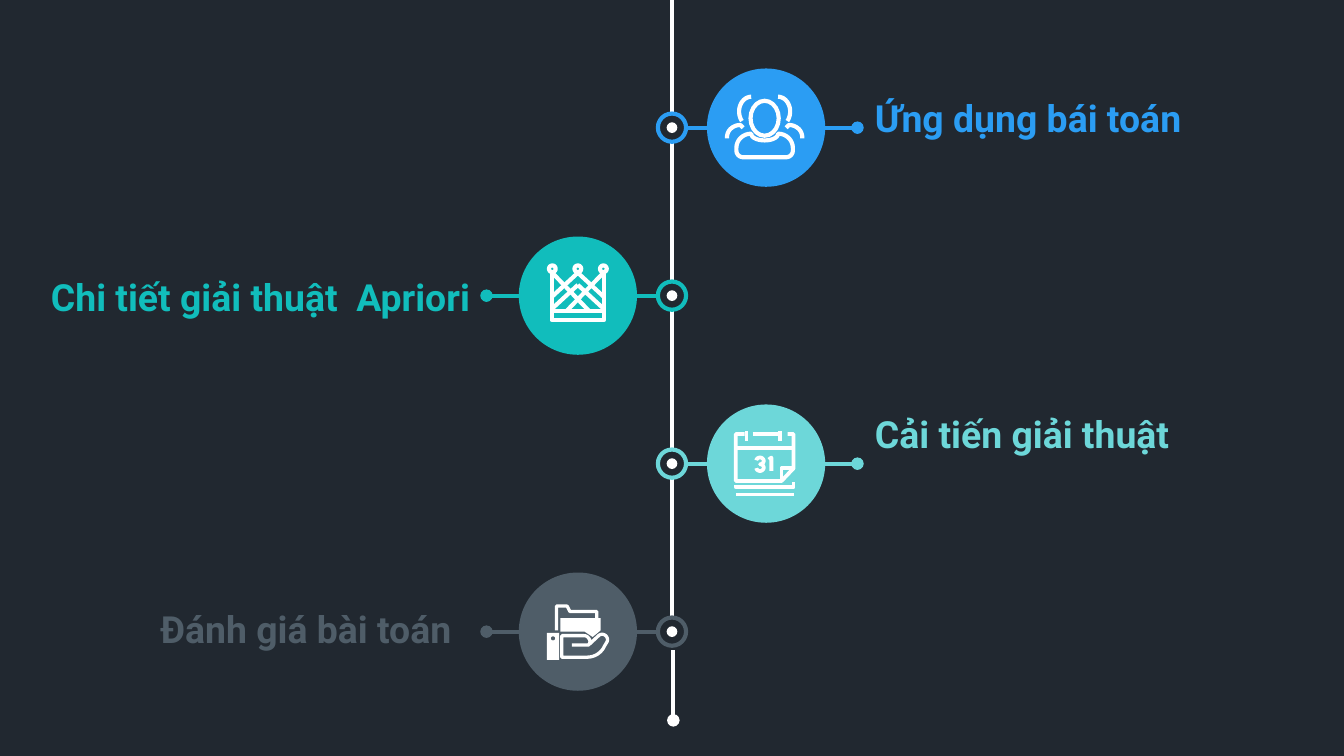
import math

import lxml.etree
import pptx
import pptx.dml.color
import pptx.enum.shapes
import pptx.enum.text
import pptx.oxml.ns
import pptx.util

Inches = pptx.util.Inches
Pt = pptx.util.Pt
ALIGN = pptx.enum.text.PP_ALIGN
COLORS = {
    "background": "212830",
    "white": "FFFFFF",
    "blue": "2B9DF3",
    "teal": "11BDBC",
    "aqua": "6DD7D9",
    "slate": "4F5D68",
}
STEPS = [
    {"text": "Ứng dụng bái toán", "color": "blue", "icon": "people", "side": 1,
     "box": (6.49, 0.75, 3.37, 0.31)},
    {"text": "Chi tiết giải thuật  Apriori", "color": "teal", "icon": "crown", "side": -1,
     "box": (0, 1.99, 3.52, 0.41)},
    {"text": "Cải tiến giải thuật", "color": "aqua", "icon": "calendar", "side": 1,
     "box": (6.49, 3.1, 3.37, 0.31)},
    {"text": "Đánh giá bài toán", "color": "slate", "icon": "hand", "side": -1,
     "box": (0.49, 4.46, 2.89, 0.41)},
]
AXIS, FIRST_Y, PITCH = 5, 0.95, 1.25
ICON_UNIT = 0.01


def arc(x, y, radius_x, radius_y, start, end):
    count = 20
    angles = [math.radians(start + (end - start) * i / count) for i in range(count + 1)]
    return [(x + radius_x * math.cos(a), y + radius_y * math.sin(a)) for a in angles]


def mirror(points, center=0):
    return [(2 * center - x, y) for x, y in points]


def ring(x, y, radius_x, radius_y):
    return arc(x, y, radius_x, radius_y, 0, 360)


hair = arc(-11, -12, 9, 11, 270, 140)
shoulder = [(-29, 8)] + arc(-19, 7, 10, 9, 180, 270) + [(-17, 0)]
half_body = arc(-11, 15, 11, 10.5, 270, 180) + arc(-17, 17, 5, 5, 180, 90)
body = half_body + mirror(half_body, -1)[::-1] + arc(-1, 4.5, 10, 5, 0, 180)
lattice = [
    [(19, -17), (-8, 11)],
    [(0, -17), (-19.5, 1)],
    [(0, -8), (-19.5, 10)],
]

ICONS = {
    "people": {
        "width": 2.25,
        "strokes": [ring(-1, -7, 10.5, 13), hair, mirror(hair, -1),
                    shoulder, mirror(shoulder, -1), body],
    },
    "crown": {
        "width": 2.25,
        "strokes": [ring(x, -20, 2.5, 2.5) for x in (-19, 0, 19)]
        + [[(-19.5, -17), (-19.5, 18), (19.5, 18), (19.5, -17)], [(-19.5, 11.5), (19.5, 11.5)]]
        + lattice + [mirror(band) for band in lattice],
    },
    "calendar": {
        "width": 2,
        "strokes": [
            [(-16, -22), (-22.5, -22), (-22.5, 13), (11.5, 13), (20.5, 3.5), (20.5, -22), (16, -22)],
            [(11.5, 13), (11.5, 3.5), (20.5, 3.5)],
            [(-22.5, -11.5), (20.5, -11.5)],
            [(-14.5, -24), (-14.5, -17)],
            [(10.5, -24), (10.5, -17)],
            [(-10, -22), (10.5, -22)],
            [(-22.5, 16), (-22.5, 17.5), (20.5, 17.5), (20.5, 14)],
            [(-22.5, 23), (20.5, 23)],
            arc(-4.5, -2, 2.8, 2.5, 190, 450) + arc(-4.5, 3, 2.8, 2.5, 270, 530),
            [(2, -3), (4, -4.5), (4, 5.5)],
        ],
    },
    "hand": {
        "width": 1.75,
        "strokes": [
            [(-16, -1), (-16, -19), (-8, -19), (-6, -15), (14, -15), (14, -10)],
            [(-4.5, 10), (8, 10)] + arc(4.5, 8, 4.5, 5, 0, -90) + [(-12, 3), (-12, 19)]
            + arc(7, 5, 14, 14, 90, 25) + arc(18, 6, 4, 4, 25, -130) + [(9, 9)],
        ],
        "fills": [
            [(-13, -10), (17, -10), (17, -1), (11, 4), (5, 0), (-13, 0)],
            [(-23, 1), (-14, 1), (-14, 21), (-23, 21)],
        ],
        "dot": (-18.5, 5),
    },
}


def rgb(name):
    return pptx.dml.color.RGBColor.from_string(COLORS[name])


def style(shape, fill=None, line=None, width=2.25):
    shape.shadow.inherit = False
    if fill:
        shape.fill.solid()
        shape.fill.fore_color.rgb = rgb(fill)
    else:
        shape.fill.background()
    if line:
        shape.line.color.rgb = rgb(line)
        shape.line.width = Pt(width)
    else:
        shape.line.fill.background()


def add_circle(x, y, diameter, **look):
    left, top = x - diameter / 2, y - diameter / 2
    shape = slide.shapes.add_shape(
        pptx.enum.shapes.MSO_SHAPE.OVAL,
        Inches(left), Inches(top), Inches(diameter), Inches(diameter))
    style(shape, **look)


def add_line(start, end, color, dot=False):
    connector = slide.shapes.add_connector(
        pptx.enum.shapes.MSO_CONNECTOR.STRAIGHT, *[Inches(v) for v in (*start, *end)])
    connector.line.color.rgb = rgb(color)
    connector.line.width = Pt(2.25)
    qn = pptx.oxml.ns.qn
    properties = connector._element.spPr
    if dot:
        lxml.etree.SubElement(properties.get_or_add_ln(), qn("a:tailEnd"), type="oval")
    lxml.etree.SubElement(properties, qn("a:effectLst"))


def add_outline(x, y, contours, close, **look):
    scaled = [[(px * Inches(ICON_UNIT), py * Inches(ICON_UNIT)) for px, py in contour]
              for contour in contours]
    builder = slide.shapes.build_freeform(*scaled[0][0])
    for index, contour in enumerate(scaled):
        if index:
            builder.move_to(*contour[0])
        builder.add_line_segments(contour[1:], close=close)
    style(builder.convert_to_shape(Inches(x), Inches(y)), **look)


def add_icon(name, x, y, color):
    icon = ICONS[name]
    add_outline(x, y, icon["strokes"], False, line="white", width=icon["width"])
    if "fills" in icon:
        add_outline(x, y, icon["fills"], True, fill="white")
    if "dot" in icon:
        dot_x, dot_y = icon["dot"]
        add_circle(x + dot_x * ICON_UNIT, y + dot_y * ICON_UNIT, 0.03, fill=color)


def add_text(text, box, color, size=20, align=ALIGN.LEFT, spacing=1.0):
    frame = slide.shapes.add_textbox(*[Inches(v) for v in box]).text_frame
    frame.word_wrap = True
    frame.auto_size = pptx.enum.text.MSO_AUTO_SIZE.SHAPE_TO_FIT_TEXT
    frame.margin_left = frame.margin_right = Inches(0.02)
    frame.margin_top = frame.margin_bottom = Inches(0.02)
    paragraph = frame.paragraphs[0]
    paragraph.alignment = align
    paragraph.line_spacing = spacing
    run = paragraph.add_run()
    run.text = text
    run.font.name = "Roboto"
    run.font.size = Pt(size)
    run.font.bold = True
    run.font.color.rgb = rgb(color)


presentation = pptx.Presentation()
presentation.slide_width = Inches(10)
presentation.slide_height = Inches(10 * 9 / 16)
slide = presentation.slides.add_slide(presentation.slide_layouts[6])
slide.background.fill.solid()
slide.background.fill.fore_color.rgb = rgb("background")

add_line((AXIS, 0), (AXIS, 4.73), "white")
for index, step in enumerate(STEPS):
    y, side, color = FIRST_Y + index * PITCH, step["side"], step["color"]
    icon_x = AXIS + side * 0.7
    add_line((AXIS + side * 0.08, y), (AXIS + side * 1.38, y), color, dot=True)
    add_circle(AXIS, y, 0.21, fill="background", line=color)
    add_circle(AXIS, y, 0.08, fill="white")
    add_circle(icon_x, y, 0.88, fill=color)
    add_icon(step["icon"], icon_x, y, color)
    add_text(step["text"], step["box"], color,
             align=ALIGN.LEFT if side > 0 else ALIGN.RIGHT,
             spacing=0.8 if side > 0 else 1.1)
add_line((AXIS + 0.01, 4.84), (AXIS + 0.01, 5.36), "white", dot=True)

presentation.save("out.pptx")
